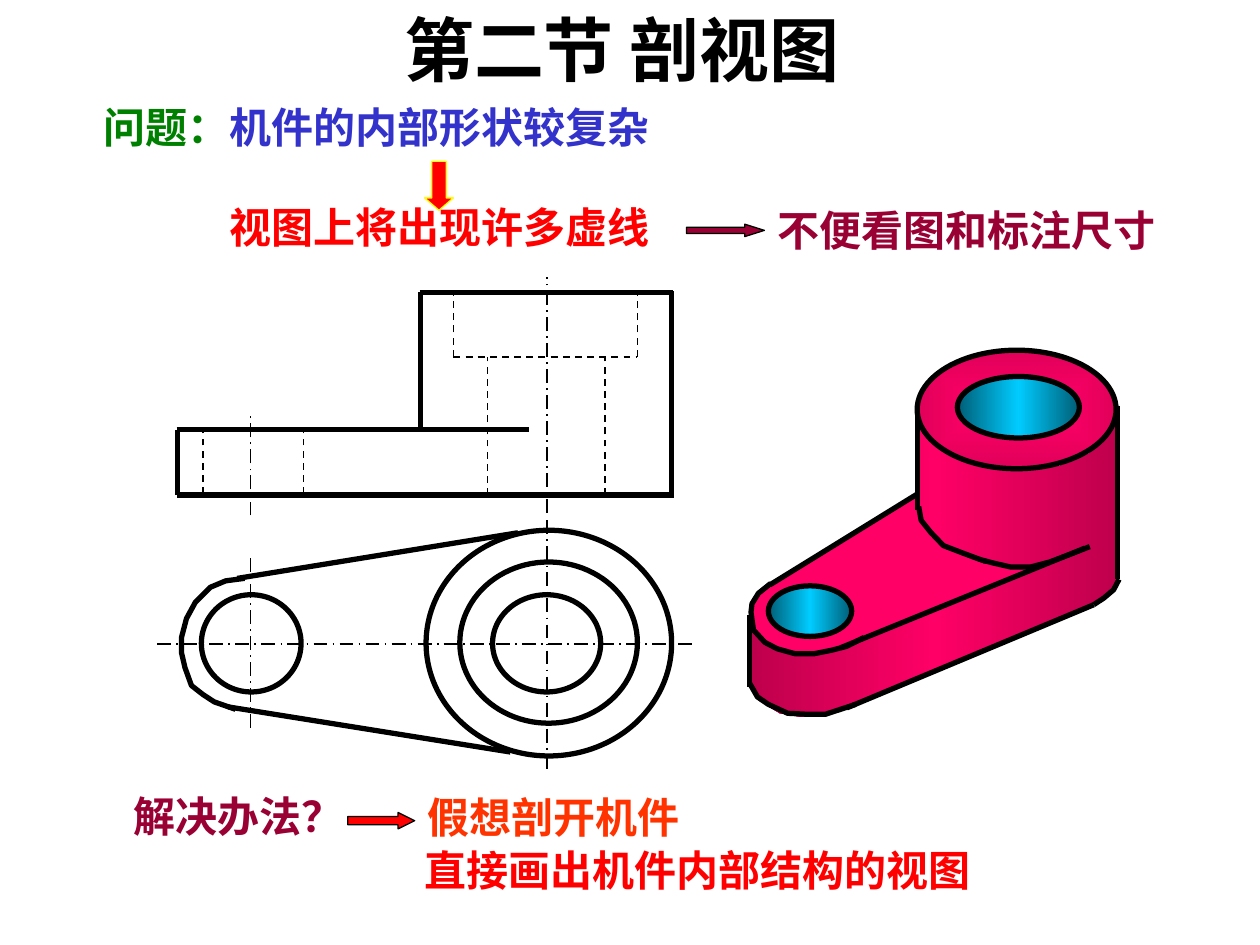
from dataclasses import dataclass

from lxml import etree
from pptx import Presentation
from pptx.dml.color import RGBColor
from pptx.enum.dml import MSO_LINE
from pptx.enum.shapes import MSO_CONNECTOR, MSO_SHAPE
from pptx.enum.text import MSO_ANCHOR, MSO_AUTO_SIZE, PP_ALIGN
from pptx.oxml import parse_xml
from pptx.oxml.ns import nsdecls, qn
from pptx.util import Cm, Pt

CENTER, LEFT = PP_ALIGN.CENTER, PP_ALIGN.LEFT
TOP, MIDDLE = MSO_ANCHOR.TOP, MSO_ANCHOR.MIDDLE
DASH, DASH_DOT = MSO_LINE.DASH, MSO_LINE.LONG_DASH_DOT
OVAL, RIGHT_ARROW, DOWN_ARROW = MSO_SHAPE.OVAL, MSO_SHAPE.RIGHT_ARROW, MSO_SHAPE.DOWN_ARROW
STRAIGHT = MSO_CONNECTOR.STRAIGHT
GRID = 2.54  # centimetres per drawing unit


@dataclass(frozen=True)
class Theme:
    black: str = "000000"
    green: str = "008000"
    blue: str = "3333CC"
    red: str = "FF0000"
    orange: str = "FF3300"
    maroon: str = "990033"
    yellow: str = "FFFF00"
    pink: str = "FF0066"
    rim: tuple = ("FF0066", "E1005A")
    wall: tuple = ("BE004C", "FF0066", "BE004C")
    hole: tuple = ("005E76", "00CCFF", "005E76")
    sans: str = "Noto Sans CJK SC"
    serif: str = "Times New Roman"
    title: float = 40
    body: float = 24
    thick: float = 3
    thin: float = 1
    hair: float = 0.75


theme = Theme()


def grid(*values):
    return [Cm(round(value * GRID, 2)) for value in values]


def style(shape, fill=None, line=theme.black, width=theme.thick):
    shape.shadow.inherit = False
    if fill is None:
        shape.fill.background()
    elif isinstance(fill, str):
        shape.fill.solid()
        shape.fill.fore_color.rgb = RGBColor.from_string(fill)
    else:
        # Two colours spread from the middle, three run left to right
        shape.fill.gradient()
        gradient = shape.fill._xPr.find(qn("a:gradFill"))
        stops = "".join(
            f'<a:gs pos="{100000 * i // (len(fill) - 1)}"><a:srgbClr val="{color}"/></a:gs>'
            for i, color in enumerate(fill))
        direction = '<a:lin ang="0" scaled="0"/>' if len(fill) == 3 else (
            '<a:path path="rect"><a:fillToRect l="50000" t="50000" r="50000" b="50000"/></a:path>')
        gradient.getparent().replace(gradient, parse_xml(
            f'<a:gradFill {nsdecls("a")} rotWithShape="1"><a:gsLst>{stops}</a:gsLst>{direction}</a:gradFill>'))
    if line is None:
        shape.line.fill.background()
    else:
        shape.line.color.rgb = RGBColor.from_string(line)
        shape.line.width = Pt(width)


deck = Presentation()
deck.slide_width, deck.slide_height = grid(10, 7.5)
slide = deck.slides.add_slide(deck.slide_layouts[5])
shapes = slide.shapes

# Straight lines of the two views and the solid: width, dash, ends
straight_lines = [
    (theme.thin, DASH_DOT, [
        (4.34, 4.13, 4.34, 6.13), (1.25, 5.11, 5.5, 5.11), (1.99, 4.43, 1.99, 5.81),
        (4.34, 4.07, 4.34, 2.2), (1.99, 4.09, 1.99, 3.27)]),
    (theme.thin, DASH, [
        (2.41, 3.92, 2.41, 3.43), (1.61, 3.92, 1.61, 3.4), (3.6, 2.83, 3.6, 2.32),
        (3.6, 2.83, 5.06, 2.83), (5.06, 2.83, 5.06, 2.32),
        (4.8, 3.93, 4.8, 2.83), (3.87, 3.93, 3.87, 2.83)]),
    (theme.thick, None, [
        (1.88, 4.59, 4.11, 4.23), (1.81, 5.61, 4.05, 5.97), (1.4, 3.93, 5.35, 3.93),
        (5.33, 3.94, 5.33, 2.31), (3.34, 3.4, 3.34, 2.32), (3.33, 2.32, 5.34, 2.32),
        (1.41, 3.93, 1.41, 3.41), (1.4, 3.41, 4.2, 3.41)]),
]
solid_edges = (theme.thick, None, [
    (8.87, 3.22, 8.87, 4.6), (7.28, 3.25, 7.28, 4.05), (6.72, 5.62, 8.68, 4.8),
    (6.67, 5.14, 8.61, 4.35), (6.11, 4.64, 7.28, 3.92), (5.95, 4.88, 5.95, 5.45)])

# Outlines: points, fill, line colour, line width
arm_top = [
    (7.27, 3.93), (6.14, 4.62), (6.06, 4.67), (5.96, 4.8), (5.97, 4.93), (6.03, 5.09),
    (6.2, 5.17), (6.37, 5.19), (6.53, 5.18), (6.62, 5.17), (8.28, 4.48), (8.04, 4.49),
    (7.81, 4.47), (7.6, 4.38), (7.45, 4.31), (7.35, 4.19), (7.3, 4.09)]
side_wall = [
    (7.27, 3.27), (7.27, 3.93), (7.3, 4.08), (7.37, 4.24), (7.55, 4.36), (7.73, 4.44),
    (7.95, 4.49), (8.17, 4.51), (8.45, 4.42), (8.06, 4.58), (6.73, 5.11), (6.56, 5.19),
    (6.37, 5.19), (6.2, 5.15), (6.05, 5.08), (5.96, 4.94), (5.96, 5.45), (6.02, 5.56),
    (6.19, 5.66), (6.36, 5.69), (6.54, 5.68), (6.75, 5.61), (8.67, 4.8), (8.76, 4.73),
    (8.84, 4.67), (8.88, 4.56), (8.88, 3.26), (8.81, 3.42), (8.65, 3.6), (8.41, 3.7),
    (8.14, 3.73), (7.95, 3.73), (7.75, 3.68), (7.52, 3.6), (7.41, 3.5), (7.34, 3.41)]
plan_arc = [
    (1.94, 4.59), (1.79, 4.61), (1.67, 4.66), (1.55, 4.78), (1.48, 4.91), (1.44, 5.06),
    (1.44, 5.18), (1.47, 5.3), (1.52, 5.44), (1.61, 5.51), (1.7, 5.57), (1.87, 5.63)]
boss_foot = [
    (7.29, 4.02), (7.31, 4.13), (7.39, 4.23), (7.49, 4.33), (7.64, 4.39), (7.78, 4.44),
    (7.88, 4.47), (8.02, 4.5), (8.18, 4.5), (8.33, 4.46), (8.49, 4.4), (8.65, 4.34)]
right_corner = [(8.88, 4.6), (8.84, 4.68), (8.76, 4.75), (8.68, 4.8)]
bottom_arc = [
    (5.95, 5.42), (6.01, 5.53), (6.1, 5.59), (6.25, 5.66), (6.41, 5.67), (6.55, 5.67), (6.79, 5.59)]
top_arc = [
    (6.12, 4.63), (6.02, 4.71), (5.97, 4.79), (5.96, 4.86), (5.98, 5), (6.07, 5.1), (6.17, 5.15),
    (6.31, 5.19), (6.46, 5.19), (6.6, 5.16), (6.72, 5.13), (6.86, 5.06)]
faces = [(arm_top, theme.pink, theme.black, theme.hair), (side_wall, theme.wall, None, 0)]
arcs = [(points, None, theme.black, theme.thick)
        for points in (plan_arc, boss_foot, right_corner, bottom_arc, top_arc)]

# Ellipses: frame, fill
ellipses = [
    ((3.38, 4.21, 1.95, 1.79), None), ((3.65, 4.46, 1.41, 1.28), None),
    ((3.91, 4.72, 0.86, 0.77), None), ((1.6, 4.72, 0.79, 0.77), None),
    ((7.28, 2.78, 1.58, 0.94), theme.rim), ((6.1, 4.65, 0.66, 0.4), theme.hole),
    ((7.6, 2.99, 0.97, 0.49), theme.hole)]

# Faces lie below the ellipses, arcs and straight edges above
for layer in (faces, ellipses, arcs):
    if layer is ellipses:
        for frame, fill in ellipses:
            style(shapes.add_shape(OVAL, *grid(*frame)), fill)
        continue
    for points, fill, line, width in layer:
        vertices = [grid(*point) for point in points]
        builder = shapes.build_freeform(*vertices[0])
        builder.add_line_segments(vertices[1:], close=fill is not None)
        style(builder.convert_to_shape(), fill, line, width)

for width, dash, lines in straight_lines + [solid_edges]:
    for ends in lines:
        edge = shapes.add_connector(STRAIGHT, *grid(*ends))
        edge.line.color.rgb = RGBColor.from_string(theme.black)
        edge.line.width = Pt(width)
        if dash:
            edge.line.dash_style = dash
        etree.SubElement(edge._element.spPr, qn("a:effectLst"))

# Block arrows: kind, frame, head length, fill, line
for kind, frame, head, fill, line in [
    (RIGHT_ARROW, (2.76, 6.45, 0.53, 0.13), 1.01, theme.red, theme.black),
    (RIGHT_ARROW, (5.45, 1.78, 0.62, 0.1), 1.58, theme.maroon, theme.black),
    (DOWN_ARROW, (3.37, 1.28, 0.23, 0.39), 0.43, theme.red, theme.yellow),
]:
    arrow = shapes.add_shape(kind, *grid(*frame))
    arrow.adjustments[1] = head
    style(arrow, fill, line, theme.hair)

# Title and statements: frame, alignment, anchor, font, size, coloured spans
for frame, align, anchor, font, size, spans in [
    ((2, 0, 5.87, 0.77), CENTER, TOP, theme.sans, theme.title, [("第二节 剖视图", theme.black)]),
    ((0.72, 0.76, 5.2, 0.5), LEFT, TOP, theme.sans, theme.body,
     [("问题：", theme.green), ("机件的内部形状较复杂", theme.blue)]),
    ((1.72, 1.55, 4.13, 0.5), LEFT, TOP, theme.serif, theme.body, [("视图上将出现许多虚线", theme.red)]),
    ((6.07, 1.57, 3.54, 0.5), LEFT, TOP, theme.serif, theme.body, [("不便看图和标注尺寸", theme.maroon)]),
    ((0.82, 6.22, 2.14, 0.5), CENTER, MIDDLE, theme.serif, theme.body, [("解决办法？", theme.maroon)]),
    ((3.29, 6.23, 2.89, 0.5), LEFT, MIDDLE, theme.serif, theme.body, [("假想剖开机件", theme.orange)]),
    ((3.27, 6.65, 5.18, 0.5), LEFT, TOP, theme.serif, theme.body,
     [("直接画出机件内部结构的视图", theme.red)]),
]:
    if size == theme.title:
        box = shapes.title
        box.left, box.top, box.width, box.height = grid(*frame)
    else:
        box = shapes.add_textbox(*grid(*frame))
    text = box.text_frame
    text.word_wrap, text.auto_size, text.vertical_anchor = True, MSO_AUTO_SIZE.NONE, anchor
    para = text.paragraphs[0]
    para.alignment = align
    for words, color in spans:
        span = para.add_run()
        span.text = words
        span.font.name, span.font.size, span.font.bold = font, Pt(size), True
        span.font.color.rgb = RGBColor.from_string(color)
        etree.SubElement(span.font._element, qn("a:ea"), typeface=theme.sans)

deck.save("out.pptx")
